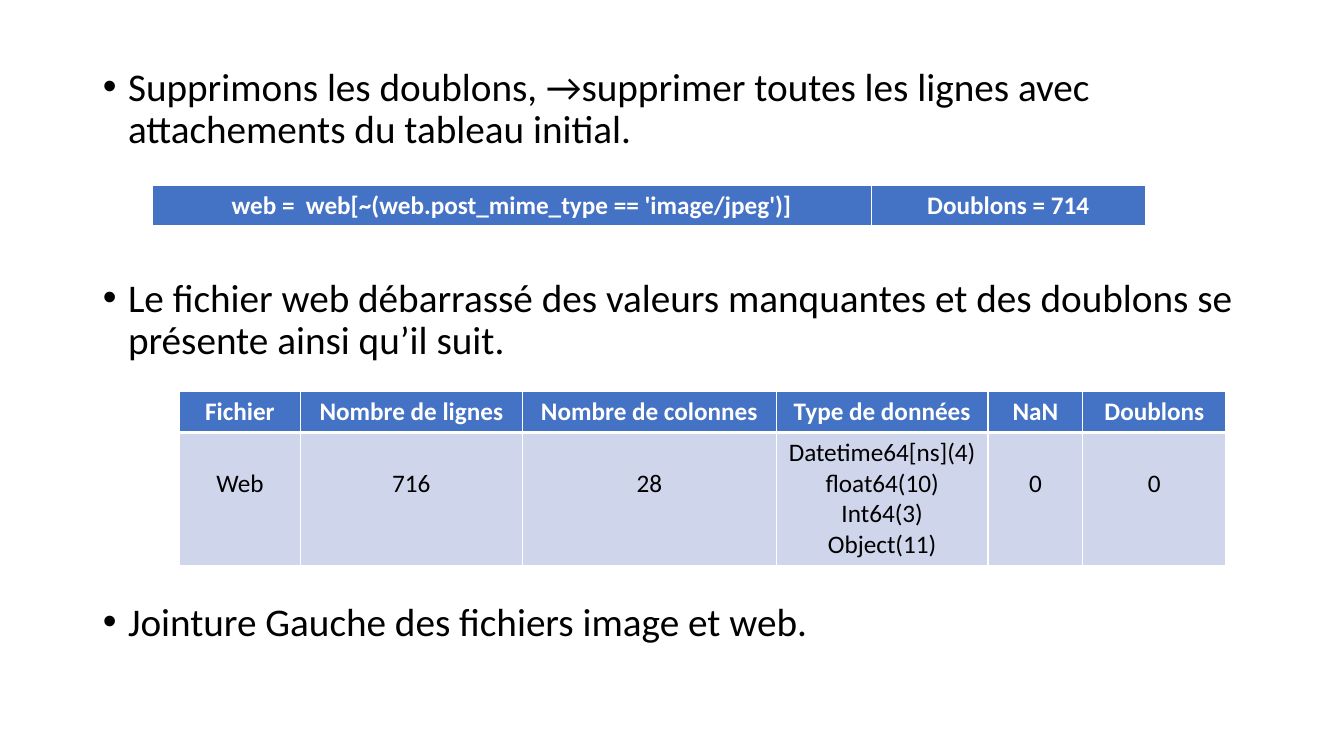
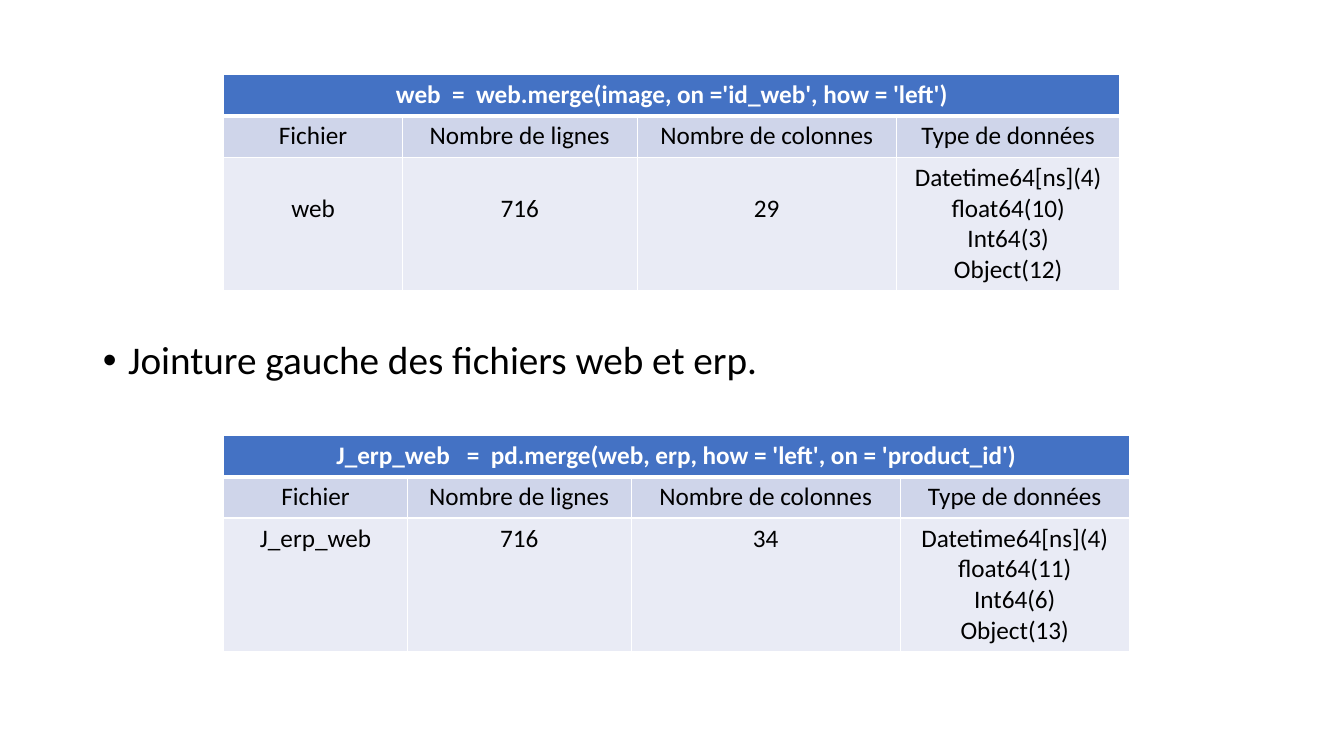
from dataclasses import dataclass

from lxml import etree
from pptx import Presentation
from pptx import util as u
from pptx.dml.color import RGBColor
from pptx.enum import text
from pptx.oxml import ns

PX = 9144


@dataclass(frozen=True)
class Theme:
    font: str = "Calibri"
    body_size: int = 28
    cell_size: int = 18
    ink: str = "000000"
    white: str = "FFFFFF"
    header: str = "4472C4"
    band_dark: str = "CFD5EA"
    band_light: str = "E9EBF5"
    thin: int = 1
    thick: int = 3


THEME = Theme()
BODY_LEFT, BODY_WIDTH = 92, 1150
INDENT = 25
ROW, TALL_ROW = 41, 132
LINE_DROP = 36
COLUMNS = ["Fichier", "Nombre de lignes", "Nombre de colonnes", "Type de données"]


def px(n):
    return u.Emu(n * PX)


def add_run(p, words, size, color, bold=False):
    r = p.add_run()
    r.text = words
    r.font.name = THEME.font
    r.font.size = u.Pt(size)
    r.font.bold = bold
    r.font.color.rgb = RGBColor.from_string(color)


def new_slide(prs):
    s = prs.slides.add_slide(prs.slide_layouts[1])
    title = s.shapes.title
    title.element.getparent().remove(title.element)
    return s


def add_bullets(s, top, height, bullets, anchor=text.MSO_ANCHOR.TOP):
    sp = s.placeholders[1]
    sp.left, sp.top, sp.width, sp.height = map(px, (BODY_LEFT, top, BODY_WIDTH, height))
    tf = sp.text_frame
    tf.word_wrap = True
    tf.auto_size = text.MSO_AUTO_SIZE.NONE
    tf.vertical_anchor = anchor
    for i, (words, gap) in enumerate(bullets):
        p = tf.add_paragraph() if i else tf.paragraphs[0]
        p.line_spacing = 0.9
        p.space_before = u.Pt(gap)
        pPr = p._p.get_or_add_pPr()
        pPr.set("marL", str(px(INDENT)))
        pPr.set("indent", str(-px(INDENT)))
        add_run(p, words, THEME.body_size, THEME.ink)


def add_borders(cell, top, bottom):
    tcPr = cell._tc.get_or_add_tcPr()
    sides = {"L": THEME.thin, "R": THEME.thin, "T": top, "B": bottom}
    for side, width in sides.items():
        ln = etree.SubElement(tcPr, ns.qn(f"a:ln{side}"), w=str(u.Pt(width)))
        fill = etree.SubElement(ln, ns.qn("a:solidFill"))
        etree.SubElement(fill, ns.qn("a:srgbClr"), val=THEME.white)


def fill_cell(cell, lines, row, fill, drop):
    header = row == 0
    add_borders(cell, THEME.thick if row == 1 else THEME.thin,
                THEME.thick if header else THEME.thin)
    cell.fill.solid()
    cell.fill.fore_color.rgb = RGBColor.from_string(fill)
    if drop:
        cell.margin_top = px(LINE_DROP)
    tf = cell.text_frame
    for i, line in enumerate(lines):
        p = tf.add_paragraph() if i else tf.paragraphs[0]
        p.alignment = text.PP_ALIGN.CENTER
        add_run(p, line, THEME.cell_size, THEME.white if header else THEME.ink, header)


def add_grid(s, left, top, widths, rows, drop=False):
    heights = [TALL_ROW if any(isinstance(v, list) for v in row) else ROW for row in rows]
    frame = s.shapes.add_table(len(rows), len(widths), px(left), px(top),
                               px(sum(widths)), px(sum(heights)))
    table = frame.table
    table.horz_banding = False
    for column, width in zip(table.columns, widths):
        column.width = px(width)
    for i, (values, height) in enumerate(zip(rows, heights)):
        table.rows[i].height = px(height)
        fill = (THEME.header, THEME.band_dark, THEME.band_light)[i]
        if len(values) < len(widths):
            table.cell(i, 0).merge(table.cell(i, len(widths) - 1))
        for j, value in enumerate(values):
            lines = value if isinstance(value, list) else [value]
            lowered = drop and height == TALL_ROW and len(lines) == 1
            fill_cell(table.cell(i, j), lines, i, fill, lowered)


def data_types(floats, ints, objects):
    return ["Datetime64[ns](4)", f"float64({floats})", f"Int64({ints})", f"Object({objects})"]


def add_merge_grid(s, top, widths, code, values, drop=False):
    add_grid(s, 222, top, widths, [[code], COLUMNS, values], drop)


def cleaning_slide(prs):
    s = new_slide(prs)
    add_bullets(s, 62, 613, [
        ("Supprimons les doublons, →supprimer toutes les lignes avec "
         "attachements du tableau initial.", 10),
        ("Le fichier web débarrassé des valeurs manquantes et des doublons se "
         "présente ainsi qu’il suit.", 90),
        ("Jointure Gauche des fichiers image et web.", 171),
    ])
    add_grid(s, 151, 184, [713, 272],
             [["web =  web[~(web.post_mime_type == 'image/jpeg')]", "Doublons = 714"]])
    add_grid(s, 178, 388, [120, 220, 252, 210, 94, 142],
             [COLUMNS + ["NaN", "Doublons"],
              ["Web", "716", "28", data_types(10, 3, 11), "0", "0"]], drop=True)


def joining_slide(prs):
    s = new_slide(prs)
    add_bullets(s, 50, 618, [("Jointure gauche des fichiers web et erp.", 10)],
                text.MSO_ANCHOR.MIDDLE)
    add_merge_grid(s, 74, [177, 233, 257, 222],
                   "web  =  web.merge(image, on ='id_web', how = 'left')",
                   ["web", "716", "29", data_types(10, 3, 12)], drop=True)
    add_merge_grid(s, 432, [182, 222, 267, 227],
                   "J_erp_web   =  pd.merge(web, erp, how = 'left', on = 'product_id')",
                   ["J_erp_web", "716", "34", data_types(11, 6, 13)])


def main():
    prs = Presentation()
    prs.slide_width, prs.slide_height = px(1333), px(750)
    cleaning_slide(prs)
    joining_slide(prs)
    prs.save("out.pptx")


if __name__ == "__main__":
    main()
